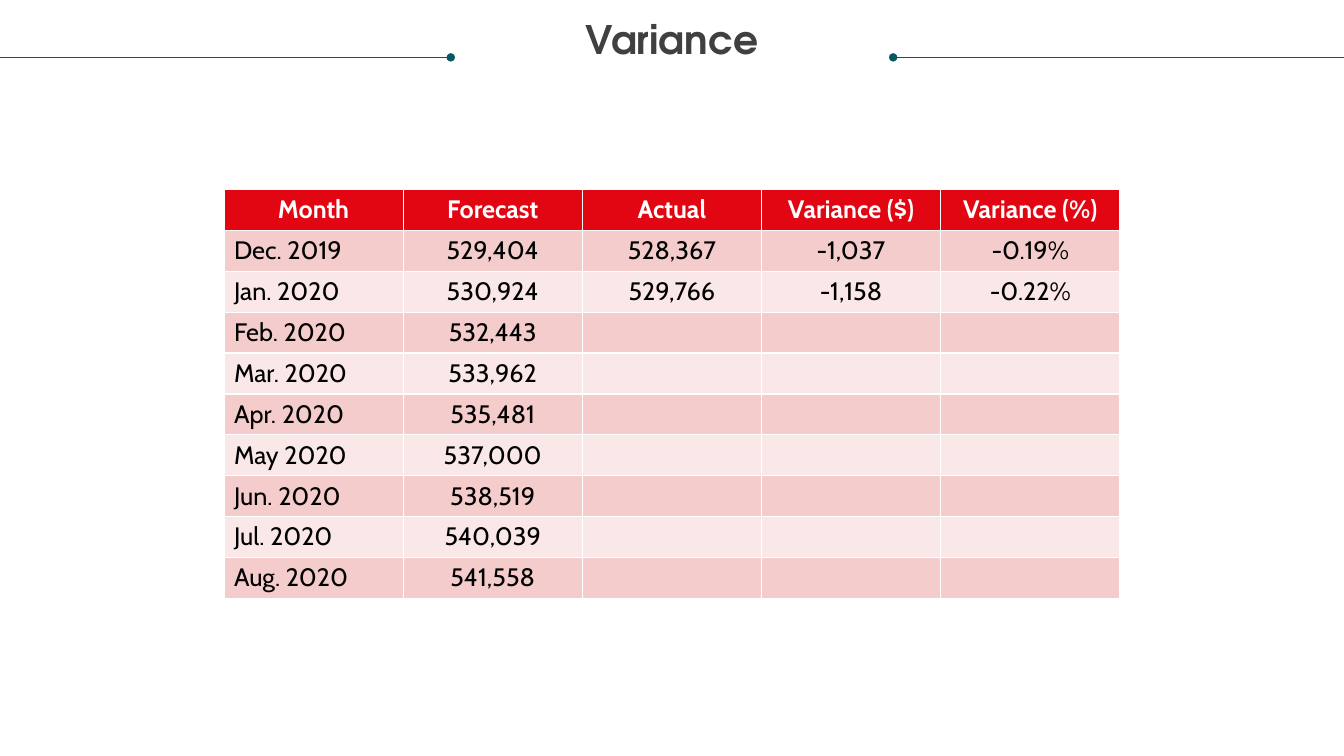
"""Build the Variance slide: a ruled title above a forecast table."""
from pptx import Presentation
from pptx.dml.color import RGBColor as RGB
from pptx.enum.shapes import MSO_CONNECTOR as Link
from pptx.enum.text import MSO_ANCHOR as Anchor, MSO_AUTO_SIZE as Fit, PP_ALIGN as Align
from pptx.oxml.ns import qn
from pptx.util import Pt
from lxml.etree import SubElement as sub

HUES = {
    "title": "404040",
    "rule": "085764",
    "head": "E20613",
    "odd": "F4CCCC",
    "even": "FAE7E7",
    "white": "FFFFFF",
    "black": "000000",
}
HEADS = ["Month", "Forecast", "Actual", "Variance ($)", "Variance (%)"]
ROWS = [
    ["Dec. 2019", "529,404", "528,367", "-1,037", "-0.19%"],
    ["Jan. 2020", "530,924", "529,766", "-1,158", "-0.22%"],
    ["Feb. 2020", "532,443"],
    ["Mar. 2020", "533,962"],
    ["Apr. 2020", "535,481"],
    ["May 2020", "537,000"],
    ["Jun. 2020", "538,519"],
    ["Jul. 2020", "540,039"],
    ["Aug. 2020", "541,558"],
]


def hue(name):
    return RGB.from_string(HUES[name])


def style(font, face, size, color, bold):
    font.name, font.size, font.bold = face, Pt(size), bold
    font.color.rgb = hue(color)


def add_title(slide, text):
    title = slide.shapes.title
    title.left, title.top, title.width, title.height = Pt(18), Pt(15), Pt(924), Pt(30.24)
    frame = title.text_frame
    frame.margin_left = frame.margin_right = frame.margin_top = frame.margin_bottom = 0
    frame.auto_size, frame.vertical_anchor = Fit.NONE, Anchor.MIDDLE
    frame.text = text
    par = frame.paragraphs[0]
    par.alignment, par.line_spacing = Align.CENTER, 0.9
    style(par.font, "TeX Gyre Adventor", 28, "title", True)


def add_rule(slide, start, end, dot):
    rule = slide.shapes.add_connector(Link.STRAIGHT, Pt(start), Pt(41), Pt(end), Pt(41))
    rule.line.color.rgb = hue("rule")
    rule.line.width = Pt(0.5)
    sub(rule.line._get_or_add_ln(), qn(dot), type="oval")
    sub(rule._element.spPr, qn("a:effectLst"))


def fill_cell(cell, text, fill, color, bold, align):
    cell.fill.solid()
    cell.fill.fore_color.rgb = hue(fill)
    cell.text = text
    par = cell.text_frame.paragraphs[0]
    par.alignment = align
    style(par.font, "Cabin", 18, color, bold)


def add_grid(slide, heads, rows):
    count = len(rows) + 1
    frame = slide.shapes.add_table(
        count, len(heads), Pt(160), Pt(135.4), Pt(640), Pt(29.2 * count))
    grid = frame.table
    for col, text in enumerate(heads):
        fill_cell(grid.cell(0, col), text, "head", "white", True, Align.CENTER)
    for row, texts in enumerate(rows, 1):
        fill = "odd" if row % 2 else "even"
        for col in range(len(heads)):
            text = texts[col] if col < len(texts) else ""
            align = Align.CENTER if col else Align.LEFT
            fill_cell(grid.cell(row, col), text, fill, "black", False, align)


def main():
    deck = Presentation()
    deck.slide_width, deck.slide_height = Pt(960), Pt(540)
    slide = deck.slides.add_slide(deck.slide_layouts[5])
    add_title(slide, "Variance")
    add_rule(slide, 638, 960, "a:headEnd")
    add_rule(slide, 0, 322, "a:tailEnd")
    add_grid(slide, HEADS, ROWS)
    deck.save("out.pptx")


if __name__ == "__main__":
    main()
